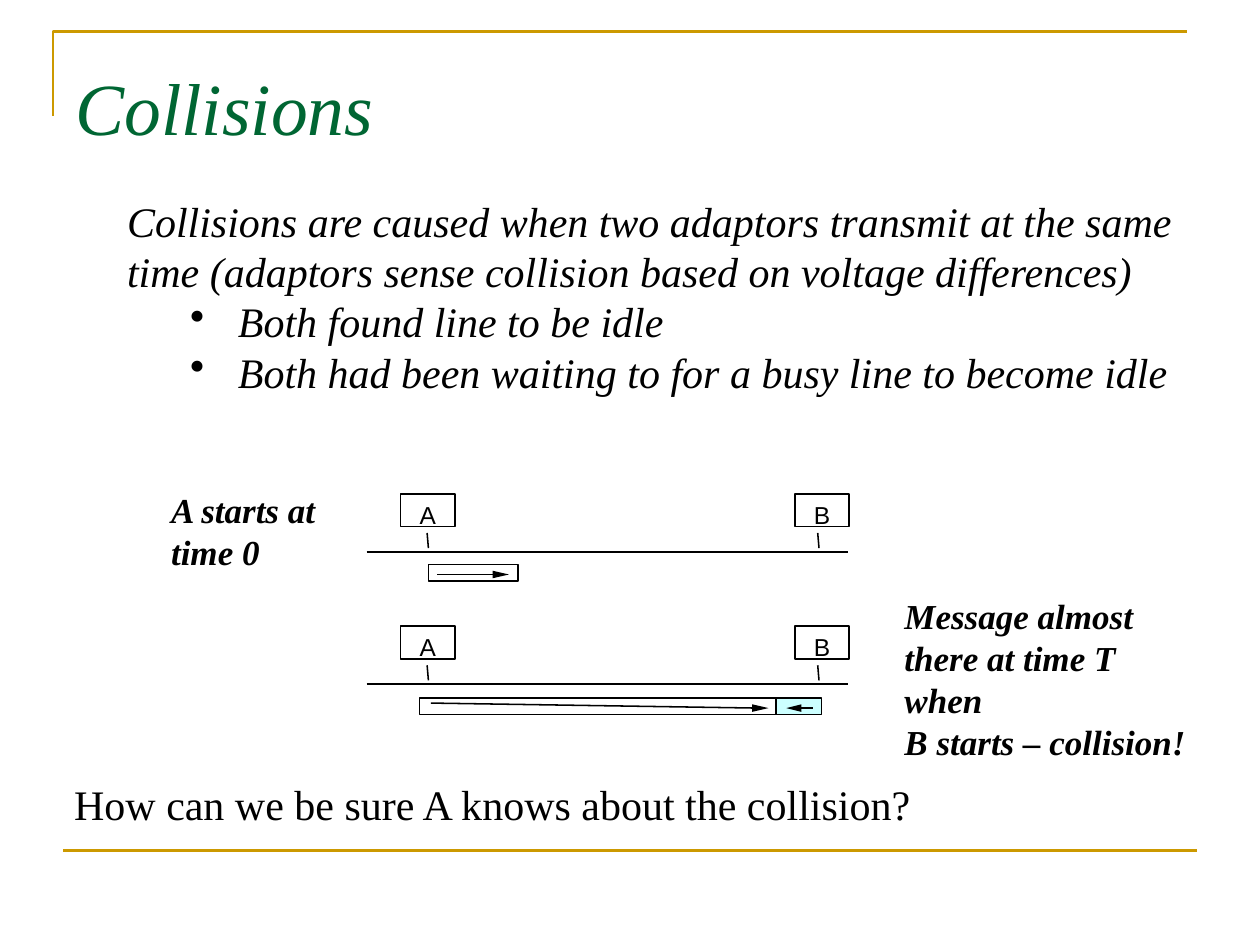
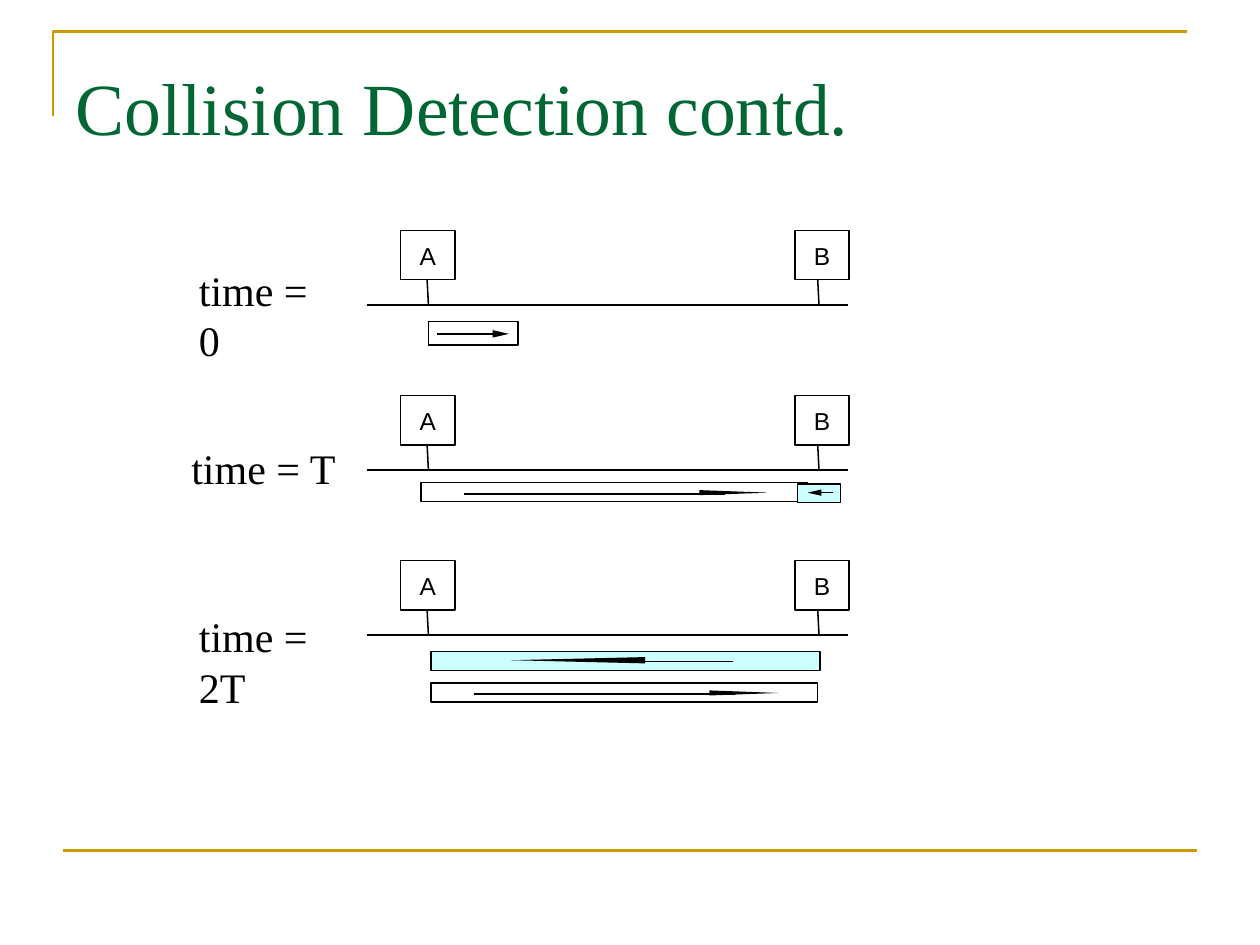
from dataclasses import dataclass
from typing import NamedTuple

from lxml.etree import SubElement
from pptx import Presentation
from pptx.dml.color import RGBColor
from pptx.enum.shapes import MSO_CONNECTOR, MSO_SHAPE
from pptx.enum.text import MSO_ANCHOR, MSO_AUTO_SIZE
from pptx.oxml.ns import qn
from pptx.util import Inches, Pt


@dataclass(frozen=True)
class Theme:
    gold: RGBColor = RGBColor(0xCC, 0x99, 0x00)
    green: RGBColor = RGBColor(0x00, 0x66, 0x33)
    black: RGBColor = RGBColor(0, 0, 0)
    reply: RGBColor = RGBColor(0xCC, 0xFF, 0xFF)
    serif: str = "Times New Roman"
    sans: str = "Arial"
    title: int = 42
    body: int = 24
    note: int = 20
    station: int = 14
    frame_line: float = 1.5
    drawing_line: float = 0.88


class Network(NamedTuple):
    box_height: float
    label_drop: float
    stub_start: float
    stub_end: float
    bus_drop: float


class Arrow(NamedTuple):
    tail: float
    joint: float
    base: float
    tip: float
    tail_drop: float
    tip_drop: float
    thickness: float


THEME = Theme()
STATIONS = {"A": 3.18, "B": 6.31}
STATION_WIDTH = 0.43
BUS_LEFT, BUS_RIGHT = 2.91, 6.73
LOW_NETWORK = Network(0.26, 0.05, 0.31, 0.43, 0.46)
TALL_NETWORK = Network(0.39, 0.08, 0.39, 0.59, 0.59)
LONG_ARROW = Arrow(0.34, 2.41, 2.21, 2.76, 0.09, 0.08, 0.04)
LONG_SIZE = (3.07, 0.15)


def add_text(page, lines, left, top, width, height, inset=True, bullets=(), **style):
    box = page.shapes.add_textbox(Inches(left), Inches(top), Inches(width), Inches(height))
    frame = box.text_frame
    frame.word_wrap = False
    frame.auto_size = MSO_AUTO_SIZE.SHAPE_TO_FIT_TEXT
    if not inset:
        for side in ("left", "top", "right", "bottom"):
            setattr(frame, f"margin_{side}", 0)
    for index, line in enumerate((*lines, *bullets)):
        para = frame.paragraphs[0] if index == 0 else frame.add_paragraph()
        if index >= len(lines):
            add_bullet(para)
        span = para.add_run()
        span.text = line
        set_font(span.font, style)
    return frame


def set_font(font, style):
    values = {"name": THEME.serif, "size": THEME.body, "color": THEME.black, **style}
    font.color.rgb = values.pop("color")
    values["size"] = Pt(values["size"])
    for name, value in values.items():
        setattr(font, name, value)


def add_bullet(para):
    para.level = 1
    properties = para._p.get_or_add_pPr()
    for name, value in {"marL": Inches(0.88), "indent": Inches(-0.38)}.items():
        properties.set(name, str(value))
    SubElement(properties, qn("a:buChar")).set("char", "•")


def add_line(page, start, end, color=THEME.black, weight=THEME.drawing_line):
    points = [Inches(value) for value in (*start, *end)]
    line = page.shapes.add_connector(MSO_CONNECTOR.STRAIGHT, *points)
    line.line.color.rgb = color
    line.line.width = Pt(weight)
    SubElement(line._element.spPr, qn("a:effectLst"))


def paint(shape, fill=None, line=None, weight=THEME.drawing_line):
    shape.shadow.inherit = False
    if fill is None:
        shape.fill.background()
    else:
        shape.fill.solid()
        shape.fill.fore_color.rgb = fill
    if line is None:
        shape.line.fill.background()
    else:
        shape.line.color.rgb = line
        shape.line.width = Pt(weight)


def add_outline(page, points, close, **colors):
    start, *rest = [(Inches(x), Inches(y)) for x, y in points]
    builder = page.shapes.build_freeform(*start)
    builder.add_line_segments(rest, close=close)
    paint(builder.convert_to_shape(), **colors)


def add_rectangle(page, left, top, width, height, fill=None):
    box = page.shapes.add_shape(
        MSO_SHAPE.RECTANGLE, Inches(left), Inches(top), Inches(width), Inches(height)
    )
    paint(box, fill, THEME.black)


def add_page(deck, title, italic=False):
    page = deck.slides.add_slide(deck.slide_layouts[6])
    add_outline(page, [(0.42, 0.92), (0.42, 0.25), (9.42, 0.25)], False,
                line=THEME.gold, weight=THEME.frame_line)
    add_line(page, (0.5, 6.75), (9.5, 6.75), THEME.gold, THEME.frame_line)
    frame = add_text(page, [title], 0.5, 0.3, 9, 1.08,
                     size=THEME.title, color=THEME.green, italic=italic)
    frame.word_wrap = True
    frame.auto_size = MSO_AUTO_SIZE.NONE
    frame.vertical_anchor = MSO_ANCHOR.MIDDLE
    return page


def add_network(page, top, network):
    for name, left in STATIONS.items():
        add_text(page, [name], left + 0.15, top + network.label_drop, 0.13, 0.23,
                 inset=False, name=THEME.sans, size=THEME.station)
        add_rectangle(page, left, top, STATION_WIDTH, network.box_height)
    for stub in (3.39, 6.49):
        add_line(page, (stub, top + network.stub_start), (stub + 0.01, top + network.stub_end))
    bus = top + network.bus_drop
    add_line(page, (BUS_LEFT, bus), (BUS_RIGHT, bus))


def add_packet(page, left, top, size, arrow, fill=None):
    add_rectangle(page, left, top, *size, fill)
    add_line(page, (left + arrow.tail, top + arrow.tail_drop),
             (left + arrow.joint, top + (arrow.tip_drop if size == (2.83, 0.13) else arrow.tail_drop)))
    middle, half = top + arrow.tip_drop, arrow.thickness / 2
    base = left + arrow.base
    add_outline(page, [(base, middle - half), (left + arrow.tip, middle), (base, middle + half)],
                True, fill=THEME.black)


def build_collisions(deck):
    page = add_page(deck, "Collisions", italic=True)
    for row in range(2):
        add_network(page, 3.92 + 1.05 * row, LOW_NETWORK)
    add_packet(page, 3.4, 4.48, (0.71, 0.13), Arrow(0.07, 0.53, 0.51, 0.64, 0.08, 0.08, 0.06))
    add_packet(page, 3.33, 5.54, (2.83, 0.13), Arrow(0.09, 2.68, 2.64, 2.77, 0.04, 0.08, 0.06))
    add_packet(page, 6.16, 5.54, (0.36, 0.13),
               Arrow(0.29, 0.17, 0.2, 0.08, 0.08, 0.08, 0.06), THEME.reply)
    add_text(
        page,
        ["Collisions are caused when two adaptors transmit at the same",
         "time (adaptors sense collision based on voltage differences)"],
        0.91, 1.5, 8.59, 1.7, italic=True,
        bullets=["Both found line to be idle",
                 "Both had been waiting to for a busy line to become idle"],
    )
    note = {"size": THEME.note, "bold": True, "italic": True}
    add_text(page, ["A starts at", "time 0"], 1.26, 3.83, 1.36, 0.77, **note)
    add_text(page, ["Message almost", "there at time T when", "B starts – collision!"],
             7.08, 4.67, 2.56, 1.1, **note)
    add_text(page, ["How can we be sure A knows about the collision?"], 0.49, 6.13, 6.87, 0.5)


def build_detection(deck):
    page = add_page(deck, "Collision Detection contd.")
    for row in range(3):
        add_network(page, 1.83 + 1.31 * row, TALL_NETWORK)
    add_packet(page, 3.4, 2.55, (0.71, 0.19), Arrow(0.07, 0.53, 0.51, 0.64, 0.1, 0.1, 0.06))
    for left, top in ((3.34, 3.83), (3.42, 5.42)):
        add_packet(page, left, top, LONG_SIZE, LONG_ARROW)
    add_packet(page, 6.33, 3.84, (0.34, 0.15),
               Arrow(0.28, 0.16, 0.19, 0.08, 0.07, 0.07, 0.05), THEME.reply)
    add_packet(page, 3.42, 5.17, (3.09, 0.15),
               Arrow(2.4, 1.5, 1.7, 0.63, 0.08, 0.07, 0.05), THEME.reply)
    for moment, left, top, width in (
        ("time = 0", 1.48, 2.05, 1.31),
        ("time = T", 1.42, 3.46, 1.35),
        ("time = 2T", 1.48, 4.8, 1.51),
    ):
        add_text(page, [moment], left, top, width, 0.5)


def main():
    deck = Presentation()
    deck.slide_width, deck.slide_height = Inches(10), Inches(7.5)
    build_collisions(deck)
    build_detection(deck)
    deck.save("out.pptx")


if __name__ == "__main__":
    main()
